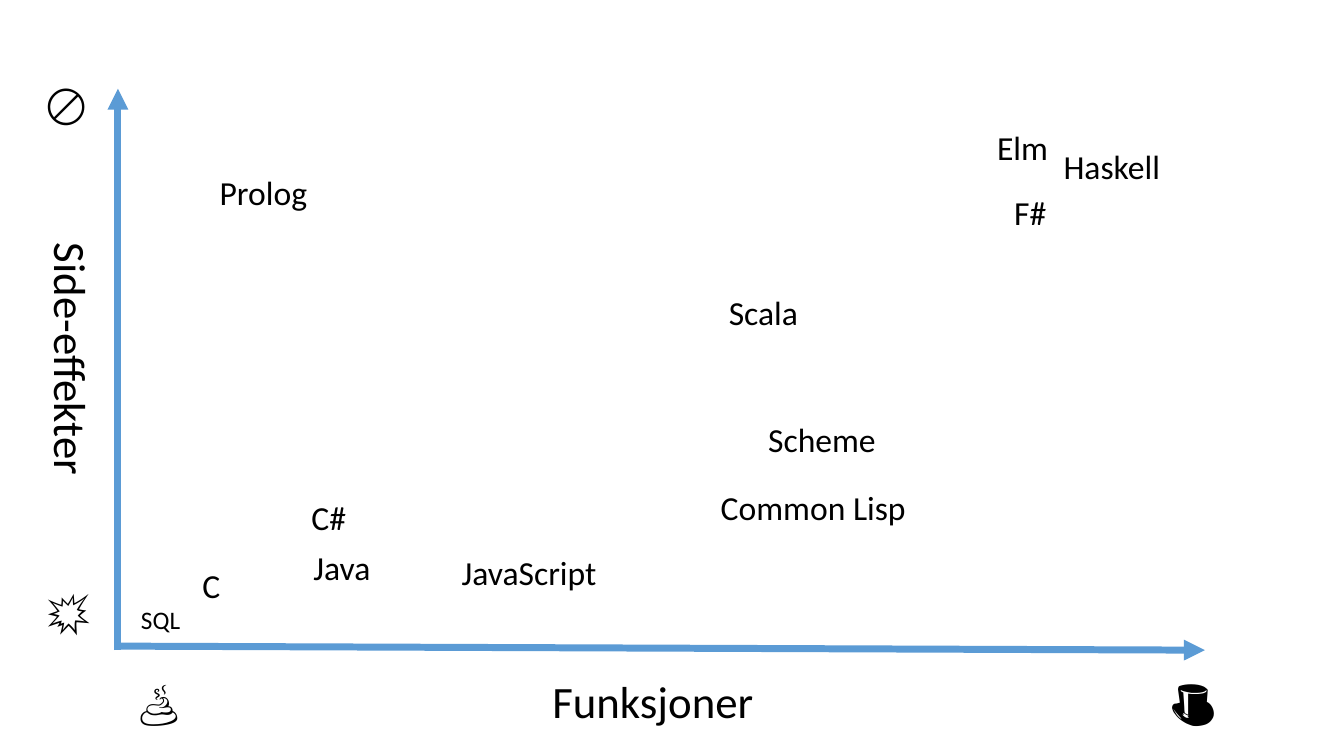
"""Build a slide that places programming languages by functions and side effects."""
from typing import NamedTuple

from lxml import etree
from pptx import Presentation
from pptx.dml.color import RGBColor
from pptx.enum import shapes, text
from pptx.oxml import ns
from pptx.slide import Slide
from pptx.util import Inches, Pt

BLACK = RGBColor(0x00, 0x00, 0x00)
BLUE = RGBColor(0x5B, 0x9B, 0xD5)
FONT = "Calibri"
HEIGHTS = {32: 0.64, 24: 0.5, 18: 0.4}


class Axis(NamedTuple):
    start: tuple[float, float]
    end: tuple[float, float]


class Label(NamedTuple):
    wording: str
    left: float
    top: float
    width: float
    size: int = 24
    rotation: int = 0


AXES = [
    Axis((1.17, 6.45), (1.17, 0.88)),
    Axis((1.15, 6.41), (11.95, 6.45)),
]

AXIS_LABELS = [
    Label("Funksjoner", 5.38, 6.63, 2.22, 32),
    Label("💩", 1.28, 6.63, 0.69, 32),
    Label("🎩", 11.51, 6.63, 0.69, 32),
    Label("Side-effekter", -0.56, 3.26, 2.54, 32, 90),
    Label("🚫", 0.36, 0.7, 0.69, 32),
    Label("💥", 0.36, 5.73, 0.69, 32),
]

LANGUAGES = [
    Label("Haskell", 10.45, 1.4, 1.17),
    Label("Elm", 9.79, 1.21, 0.71),
    Label("F#", 9.96, 1.85, 0.52),
    Label("C", 1.91, 5.56, 0.38),
    Label("Java", 3.01, 5.38, 0.77),
    Label("C#", 2.99, 4.88, 0.55),
    Label("Prolog", 2.08, 1.66, 1.08),
    Label("Scala", 7.13, 2.85, 0.9),
    Label("Common Lisp", 7.05, 4.78, 2.05),
    Label("JavaScript", 4.48, 5.43, 1.55),
    Label("SQL", 1.3, 5.95, 0.59, 18),
    Label("Scheme", 7.52, 4.11, 1.28),
]


def draw_axis(page: Slide, axis: Axis) -> None:
    """Draw one axis as a line with an arrowhead at its end."""
    points = [Inches(value) for value in (*axis.start, *axis.end)]
    arrow = page.shapes.add_connector(shapes.MSO_CONNECTOR.STRAIGHT, *points)
    arrow.line.color.rgb = BLUE
    arrow.line.width = Pt(5)
    etree.SubElement(arrow.line._get_or_add_ln(), ns.qn("a:tailEnd"), type="triangle")
    etree.SubElement(arrow._element.spPr, ns.qn("a:effectLst"))


def draw_label(page: Slide, label: Label) -> None:
    """Draw one line of text in a box that fits it."""
    box = page.shapes.add_textbox(
        Inches(label.left), Inches(label.top),
        Inches(label.width), Inches(HEIGHTS[label.size]),
    )
    box.rotation = label.rotation
    frame = box.text_frame
    frame.word_wrap = False
    frame.auto_size = text.MSO_AUTO_SIZE.SHAPE_TO_FIT_TEXT
    para = frame.paragraphs[0]
    para.text = label.wording
    para.font.name = FONT
    para.font.size = Pt(label.size)
    para.font.color.rgb = BLACK


def main() -> None:
    """Build and save the deck."""
    deck = Presentation()
    deck.slide_width, deck.slide_height = Inches(13.33), Inches(7.5)
    page = deck.slides.add_slide(deck.slide_layouts.get_by_name("Blank"))
    for axis in AXES:
        draw_axis(page, axis)
    for label in AXIS_LABELS + LANGUAGES:
        draw_label(page, label)
    deck.save("out.pptx")


if __name__ == "__main__":
    main()
